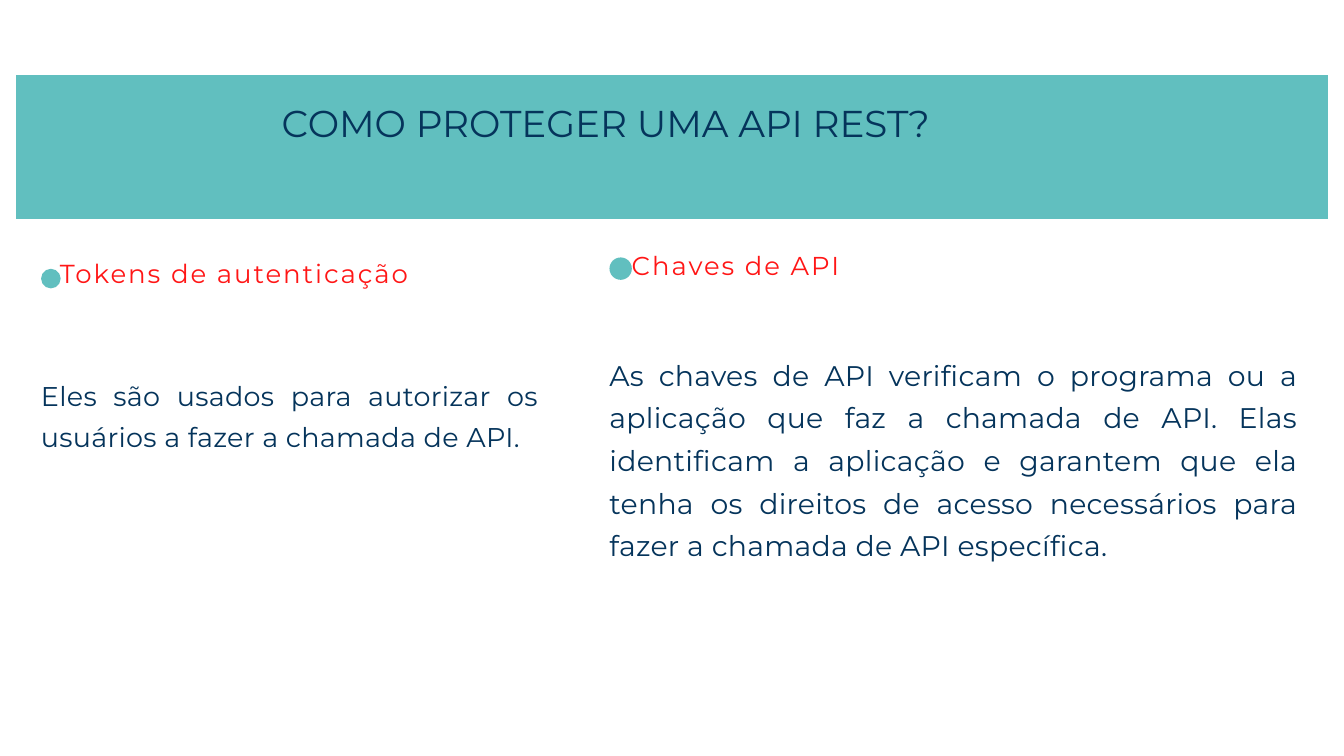
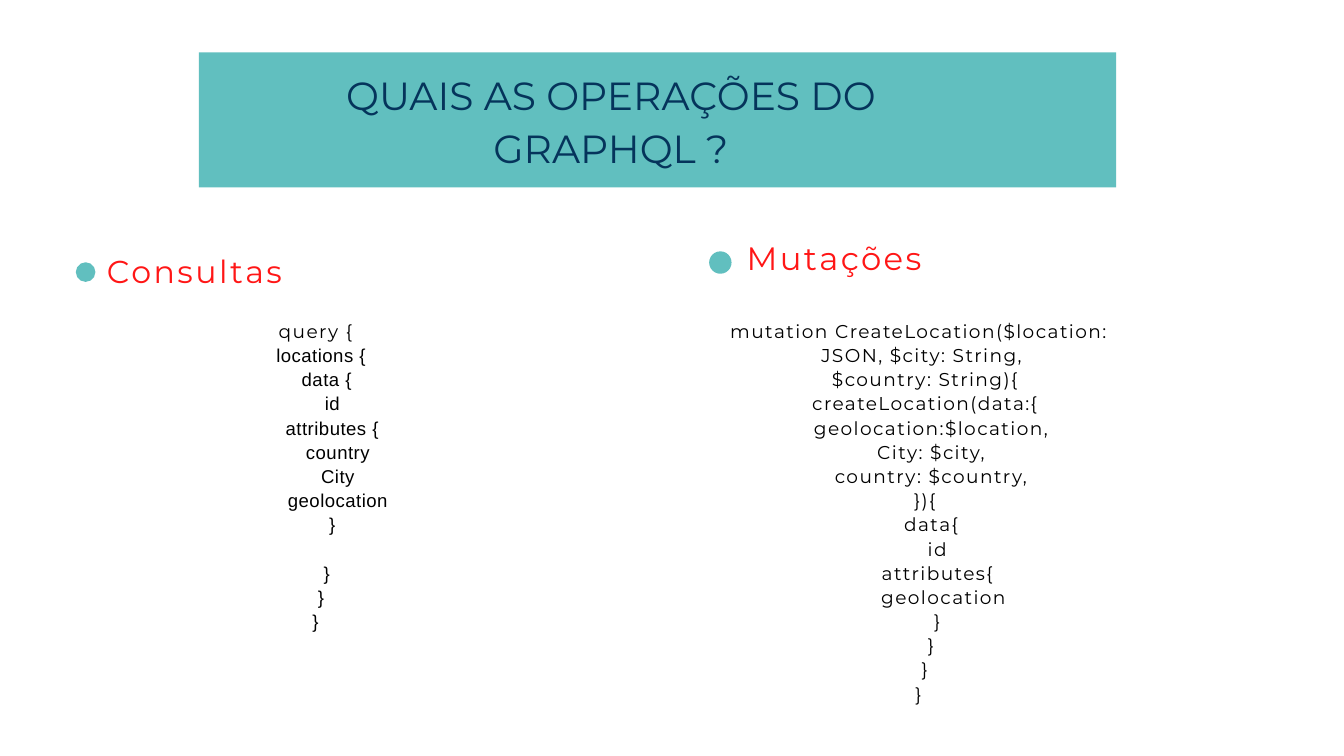
from pptx import Presentation
from pptx.dml.color import RGBColor
from pptx.enum.shapes import MSO_SHAPE
from pptx.enum.text import PP_ALIGN
from pptx.util import Pt

TEAL, NAVY, RED, BLACK = "61BFBF", "05345B", "FF1616", "000000"
FONT, PLAIN = "Montserrat", "Arial"

QUERY = """query {
  locations {
    data {
      id
      attributes {
        country
        City
        geolocation
      }

    }
  }
}"""

MUTATION = """  mutation CreateLocation($location:
   JSON, $city: String,
    $country: String){
    createLocation(data:{
      geolocation:$location,
      City: $city,
      country: $country,
    }){
      data{
        id
        attributes{
          geolocation
        }
      }
    }
  }"""

# Boxes are (left, top, width, height); dots are (left, top, diameter).
SLIDES = [
    {
        "band": (17.3, 80.6, 1405.4, 154.1),
        "title": ("COMO PROTEGER UMA API REST?", (64.1, 101.5, 1170, 103.7), 40),
        "dots": [(44, 288, 21), (653, 275.8, 24)],
        "heads": [
            ("Tokens de autenticação", (64.2, 273.6, 415, 108), 27.9, 2.1),
            ("Chaves de API", (676.8, 265, 421.9, 107.3), 27.7, 2.1),
        ],
        "bodies": [
            ("Eles são usados para autorizar os usuários a fazer a chamada "
             "de API.", (43.9, 398.2, 533.5, 85), 29),
            ("As chaves de API verificam o programa ou a aplicação que faz a "
             "chamada de API. Elas identificam a aplicação e garantem que ela "
             "tenha os direitos de acesso necessários para fazer a chamada de "
             "API específica.", (653, 374.4, 738, 223.2), 30.4),
        ],
        "codes": [],
    },
    {
        "band": (213.1, 56.2, 982.8, 144.7),
        "title": ("QUAIS AS OPERAÇÕES DO GRAPHQL ?", (245.5, 69.8, 817.9, 110.2), 42),
        "dots": [(81.2, 281, 21), (759.8, 269.3, 24)],
        "heads": [
            ("Consultas", (114.5, 266.4, 516.2, 86.4), 33.9, 2.6),
            ("Mutações", (799.9, 252, 527.8, 45.4), 34.6, 2.6),
        ],
        "bodies": [],
        "codes": [
            (QUERY, (80.6, 340.6, 514.8, 360.7), PLAIN, 0.5),
            (MUTATION, (720, 340.6, 514.8, 411.8), FONT, 1.5),
        ],
    },
]


def color(code):
    return RGBColor.from_string(code)


def add_shape(slide, kind, box):
    shape = slide.shapes.add_shape(kind, *map(Pt, box))
    shape.shadow.inherit = False
    shape.fill.solid()
    shape.fill.fore_color.rgb = color(TEAL)
    shape.line.fill.background()


def add_frame(slide, box):
    frame = slide.shapes.add_textbox(*map(Pt, box)).text_frame
    frame.word_wrap = True
    frame.margin_left = frame.margin_right = 0
    frame.margin_top = frame.margin_bottom = 0
    return frame


def style(par, size, ink, ratio, align, track=0, face=FONT):
    """Style one paragraph; ratio is line pitch over size, track is in points."""
    par.alignment = align
    par.line_spacing = Pt(round(size * ratio, 1))
    font = par.font
    font.size, font.name = Pt(size), face
    font.color.rgb = color(ink)
    if track:
        props = par._p.get_or_add_pPr().get_or_add_defRPr()
        props.set("spc", str(round(track * 100)))


def add_text(slide, text, box, *look):
    par = add_frame(slide, box).paragraphs[0]
    par.text = text
    style(par, *look)


def add_code(slide, code, box, face, track, size=19.9, ratio=1.3):
    """The opening line is always set in the main font; a blank line is a gap."""
    frame = add_frame(slide, box)
    first, *rest = code.split("\n")
    par = frame.paragraphs[0]
    par.text = first
    style(par, size, BLACK, ratio, PP_ALIGN.CENTER, 1.5)
    gap = 0
    for line in rest:
        if not line:
            gap = round(size * ratio, 1)
            continue
        par = frame.add_paragraph()
        par.text = line
        par.space_before = Pt(gap)
        style(par, size, BLACK, ratio, PP_ALIGN.CENTER, track, face)
        gap = 0


def build(deck, data):
    slide = deck.slides.add_slide(deck.slide_layouts[6])
    for left, top, size in data["dots"]:
        add_shape(slide, MSO_SHAPE.OVAL, (left, top, size, size))
    add_shape(slide, MSO_SHAPE.RECTANGLE, data["band"])
    text, box, size = data["title"]
    add_text(slide, text, box, size, NAVY, 1.35, PP_ALIGN.CENTER)
    for text, box, size, track in data["heads"]:
        add_text(slide, text, box, size, RED, 1.3, PP_ALIGN.LEFT, track)
    for text, box, size in data["bodies"]:
        add_text(slide, text, box, size, NAVY, 1.5, PP_ALIGN.JUSTIFY, 0.3)
    for code in data["codes"]:
        add_code(slide, *code)


def main():
    deck = Presentation()
    deck.slide_width, deck.slide_height = Pt(1440), Pt(810)
    for data in SLIDES:
        build(deck, data)
    deck.save("out.pptx")


if __name__ == "__main__":
    main()
